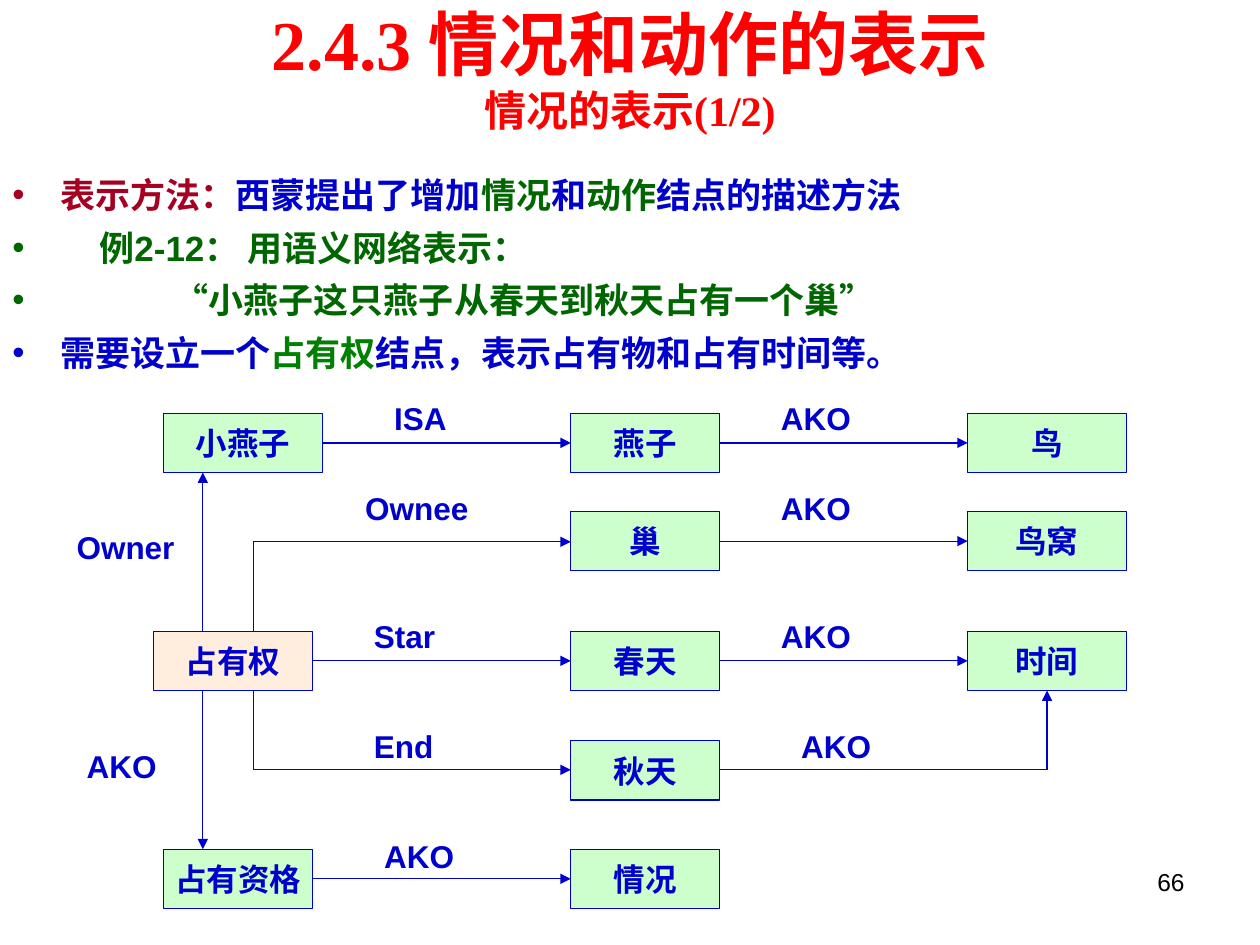
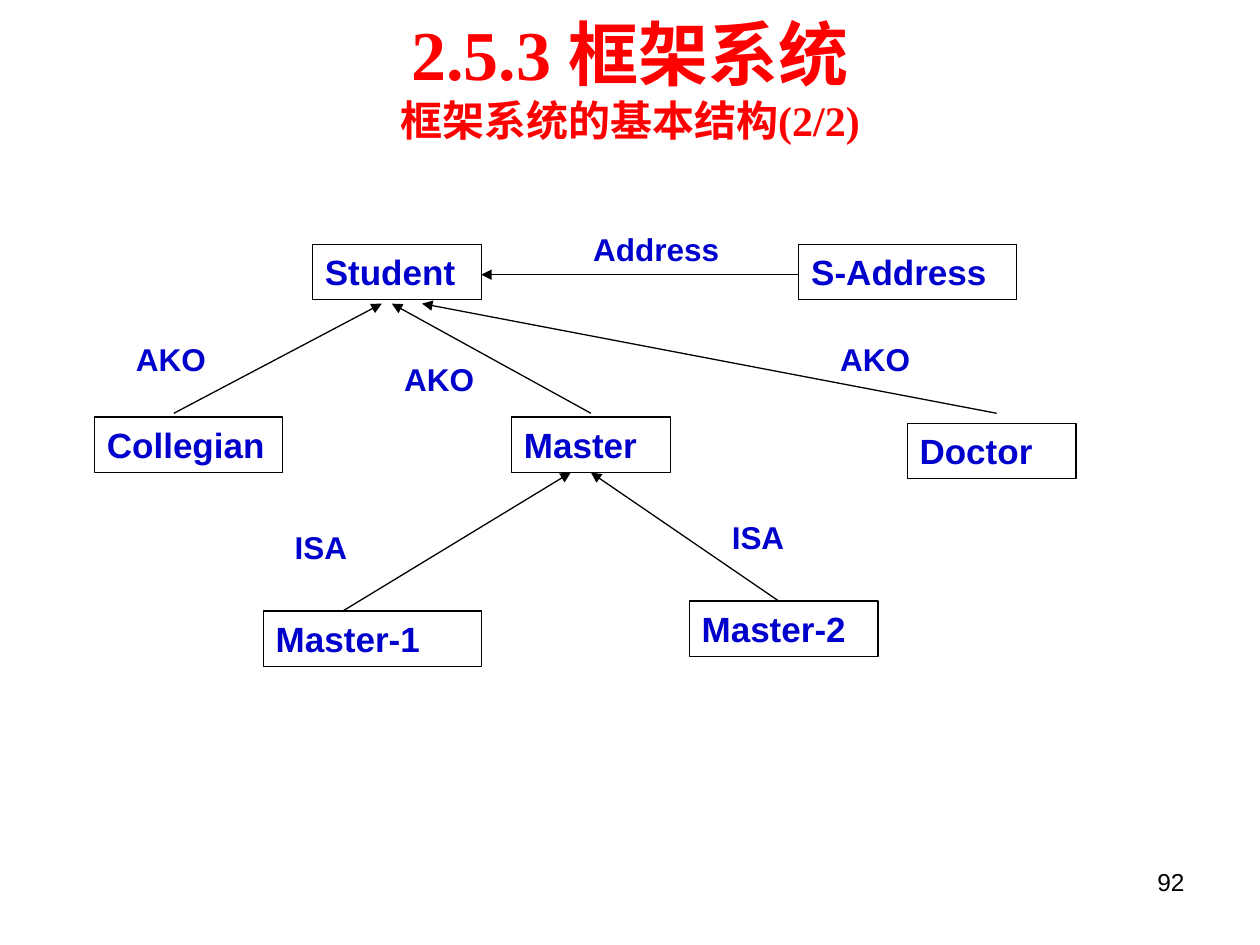
from dataclasses import dataclass
from itertools import pairwise

from lxml import etree
from pptx import Presentation
from pptx.dml.color import RGBColor
from pptx.enum import shapes, text
from pptx.oxml import ns
from pptx.util import Inches, Pt


@dataclass(frozen=True)
class Theme:
    red: str = "FF0000"
    crimson: str = "A50021"
    blue: str = "0000CC"
    dark_green: str = "006600"
    green: str = "008000"
    mint: str = "CCFFCC"
    peach: str = "FFEEDD"
    black: str = "000000"
    body_font: str = "Arial"
    title_font: str = "Times New Roman"
    title_size: int = 40
    subtitle_size: int = 24
    body_size: int = 20
    label_size: int = 18
    number_size: int = 14
    line_width: float = 0.75


THEME = Theme()
TITLE_ONLY = 5
LEFT, CENTER, RIGHT = text.PP_ALIGN.LEFT, text.PP_ALIGN.CENTER, text.PP_ALIGN.RIGHT


def add_xml(parent, tag, **attributes):
    return etree.SubElement(parent, ns.qn(tag), attributes)


class SlideBuilder:
    def __init__(self, deck, theme):
        self.deck = deck
        self.theme = theme
        self.slide = None

    def start_slide(self, heading, subheading, title_height, number):
        self.slide = self.deck.slides.add_slide(self.deck.slide_layouts[TITLE_ONLY])
        title = self.slide.shapes.title
        title.left, title.top = Inches(0.5), Inches(0)
        title.width, title.height = Inches(9), Inches(title_height)
        frame = title.text_frame
        frame.auto_size = text.MSO_AUTO_SIZE.NONE
        frame.vertical_anchor = text.MSO_ANCHOR.MIDDLE
        para = frame.paragraphs[0]
        para.alignment = CENTER
        self.set_font(para.font, self.theme.title_size, self.theme.red,
                      name=self.theme.title_font)
        para.add_run().text = heading
        para.add_line_break()
        span = para.add_run()
        span.text = subheading
        span.font.size = Pt(self.theme.subtitle_size)
        self.text_box(str(number), 7.17, 6.83, 2.33, 0.52, self.theme.number_size,
                      self.theme.black, bold=False, align=RIGHT)

    def set_font(self, font, size, color, bold=True, name=None):
        font.name = name or self.theme.body_font
        font.size = Pt(size)
        font.bold = bold
        font.color.rgb = RGBColor.from_string(color)

    def set_text(self, shape, words, size, color, bold=True, align=LEFT):
        para = shape.text_frame.paragraphs[0]
        para.text = words
        para.alignment = align
        self.set_font(para.font, size, color, bold)

    def text_box(self, words, left, top, width, height, size, color, **style):
        box = self.slide.shapes.add_textbox(
            Inches(left), Inches(top), Inches(width), Inches(height))
        box.text_frame.word_wrap = True
        self.set_text(box, words, size, color, **style)

    def label(self, words, left, top, width=0.87):
        self.text_box(words, left, top, width, 0.4,
                      self.theme.label_size, self.theme.blue)

    def bullets(self, items, left, top, width, height):
        """Each item is a hanging indent and a list of (text, colour) spans."""
        box = self.slide.shapes.add_textbox(
            Inches(left), Inches(top), Inches(width), Inches(height))
        frame = box.text_frame
        frame.word_wrap = True
        for index, (indent, spans) in enumerate(items):
            para = frame.add_paragraph() if index else frame.paragraphs[0]
            para.line_spacing = 1.05
            para.space_before = Pt(5 if index else 0)
            properties = para._p.get_or_add_pPr()
            properties.set("marL", str(Inches(indent)))
            properties.set("indent", str(-Inches(indent)))
            bullet_color = add_xml(properties, "a:buClr")
            add_xml(bullet_color, "a:srgbClr", val=spans[0][1])
            add_xml(properties, "a:buFont", typeface=self.theme.body_font)
            add_xml(properties, "a:buChar", char="•")
            self.set_font(para.font, self.theme.body_size, spans[0][1])
            for words, color in spans:
                span = para.add_run()
                span.text = words
                span.font.color.rgb = RGBColor.from_string(color)

    def rectangle(self, left, top, width, height, line):
        box = self.slide.shapes.add_shape(
            shapes.MSO_SHAPE.RECTANGLE,
            Inches(left), Inches(top), Inches(width), Inches(height))
        box.shadow.inherit = False
        box.line.color.rgb = RGBColor.from_string(line)
        box.line.width = Pt(self.theme.line_width)
        return box

    def filled_node(self, words, left, top, width, fill):
        node = self.rectangle(left, top, width, 0.47, self.theme.blue)
        node.fill.solid()
        node.fill.fore_color.rgb = RGBColor.from_string(fill)
        node.text_frame.word_wrap = False
        node.text_frame.vertical_anchor = text.MSO_ANCHOR.MIDDLE
        self.set_text(node, words, self.theme.label_size, self.theme.blue, align=CENTER)
        return node

    def outlined_node(self, words, left, top, width):
        node = self.rectangle(left, top, width, 0.44, self.theme.black)
        node.fill.background()
        node.text_frame.word_wrap = True
        node.text_frame.vertical_anchor = text.MSO_ANCHOR.TOP
        self.set_text(node, words, self.theme.body_size, self.theme.blue)

    def line(self, start, end, color, arrow=True):
        connector = self.slide.shapes.add_connector(
            shapes.MSO_CONNECTOR.STRAIGHT, *map(Inches, (*start, *end)))
        connector.line.color.rgb = RGBColor.from_string(color)
        connector.line.width = Pt(self.theme.line_width)
        if arrow:
            add_xml(connector.line._get_or_add_ln(), "a:tailEnd", type="triangle")
        add_xml(connector._element.spPr, "a:effectLst")
        return connector

    def route(self, points, color):
        """Draw straight segments with an arrowhead on the last one."""
        for start, end in pairwise(points):
            self.line(start, end, color, arrow=end == points[-1])

    def link_right(self, source, target, color):
        connector = self.line((0, 0), (1, 0), color)
        connector.begin_connect(source, 3)
        connector.end_connect(target, 1)


def build_situation_slide(builder):
    theme = builder.theme
    builder.start_slide("2.4.3 情况和动作的表示", "情况的表示(1/2)", 1.07, 66)
    builder.bullets([
        (0.38, [("表示方法：", theme.crimson), ("西蒙提出了增加", theme.blue),
                ("情况", theme.dark_green), ("和", theme.blue),
                ("动作", theme.dark_green), ("结点的描述方法", theme.blue)]),
        (0.69, [("例2-12： 用语义网络表示：", theme.dark_green)]),
        (1.28, [("“小燕子这只燕子从春天到秋天占有一个巢”", theme.dark_green)]),
        (0.38, [("需要设立一个", theme.blue), ("占有权", theme.green),
                ("结点，表示占有物和占有时间等。", theme.blue)]),
    ], 0, 1.31, 9.73, 1.8)

    middle, right = 4.53, 7.68
    rows = [3.28, 4.06, 5.01, 5.88, 6.74]
    nodes = {}
    for words, left, row, width, fill in [
        ("小燕子", 1.3, 0, 1.26, theme.mint),
        ("占有权", 1.22, 2, 1.26, theme.peach),
        ("占有资格", 1.3, 4, 1.18, theme.mint),
        *((words, middle, row, 1.18, theme.mint)
          for row, words in enumerate(["燕子", "巢", "春天", "秋天", "情况"])),
        *((words, right, row, 1.26, theme.mint)
          for row, words in enumerate(["鸟", "鸟窝", "时间"])),
    ]:
        nodes[words] = builder.filled_node(words, left, rows[row], width, fill)

    for source, target in [("小燕子", "燕子"), ("燕子", "鸟"), ("巢", "鸟窝"),
                           ("占有权", "春天"), ("春天", "时间"), ("占有资格", "情况")]:
        builder.link_right(nodes[source], nodes[target], theme.blue)

    owner_x, branch_x, time_x = 1.61, 2.01, 8.31
    top, bottom = 5.01, 5.48
    nest_y, autumn_y = 4.3, 6.11
    for points in [
        [(owner_x, top), (owner_x, 3.75)],
        [(owner_x, bottom), (owner_x, 6.74)],
        [(branch_x, top), (branch_x, nest_y), (middle, nest_y)],
        [(branch_x, bottom), (branch_x, autumn_y), (middle, autumn_y)],
        [(5.71, autumn_y), (time_x, autumn_y), (time_x, bottom)],
    ]:
        builder.route(points, theme.blue)

    for words, left, label_top in [
        ("ISA", 3.03, 3.12), ("AKO", 6.1, 3.12), ("AKO", 6.1, 3.83),
        ("Star", 2.87, 4.85), ("AKO", 6.1, 4.85), ("End", 2.87, 5.72),
        ("AKO", 6.26, 5.72), ("AKO", 2.95, 6.59), ("AKO", 0.59, 5.88),
    ]:
        builder.label(words, left, label_top)
    builder.label("Ownee", 2.8, 3.83, 1.1)
    builder.label("Owner", 0.51, 4.14, 1.1)


def build_frame_system_slide(builder):
    builder.start_slide("2.5.3 框架系统", "框架系统的基本结构(2/2)", 1.23, 92)
    for node in [
        ("Student", 2.48, 1.94, 1.34), ("S-Address", 6.34, 1.94, 1.73),
        ("Collegian", 0.75, 3.31, 1.49), ("Master", 4.06, 3.31, 1.26),
        ("Doctor", 7.2, 3.36, 1.34), ("Master-1", 2.09, 4.85, 1.73),
        ("Master-2", 5.47, 4.77, 1.5),
    ]:
        builder.outlined_node(*node)
    for start, end in [
        ((1.38, 3.28), (3.03, 2.41)), ((4.69, 3.28), (3.11, 2.41)),
        ((7.91, 3.28), (3.35, 2.41)), ((6.34, 2.18), (3.82, 2.18)),
        ((2.72, 4.85), (4.53, 3.75)), ((6.18, 4.77), (4.69, 3.75)),
    ]:
        builder.line(start, end, builder.theme.black)
    for words, left, top in [
        ("ISA", 5.71, 4.06), ("ISA", 2.24, 4.14), ("AKO", 0.98, 2.65),
        ("AKO", 3.11, 2.81), ("AKO", 6.57, 2.65),
    ]:
        builder.label(words, left, top)
    builder.label("Address", 4.61, 1.78, 1.26)


def main():
    deck = Presentation()
    deck.slide_width, deck.slide_height = Inches(10), Inches(7.5)
    builder = SlideBuilder(deck, THEME)
    build_situation_slide(builder)
    build_frame_system_slide(builder)
    deck.save("out.pptx")


if __name__ == "__main__":
    main()
